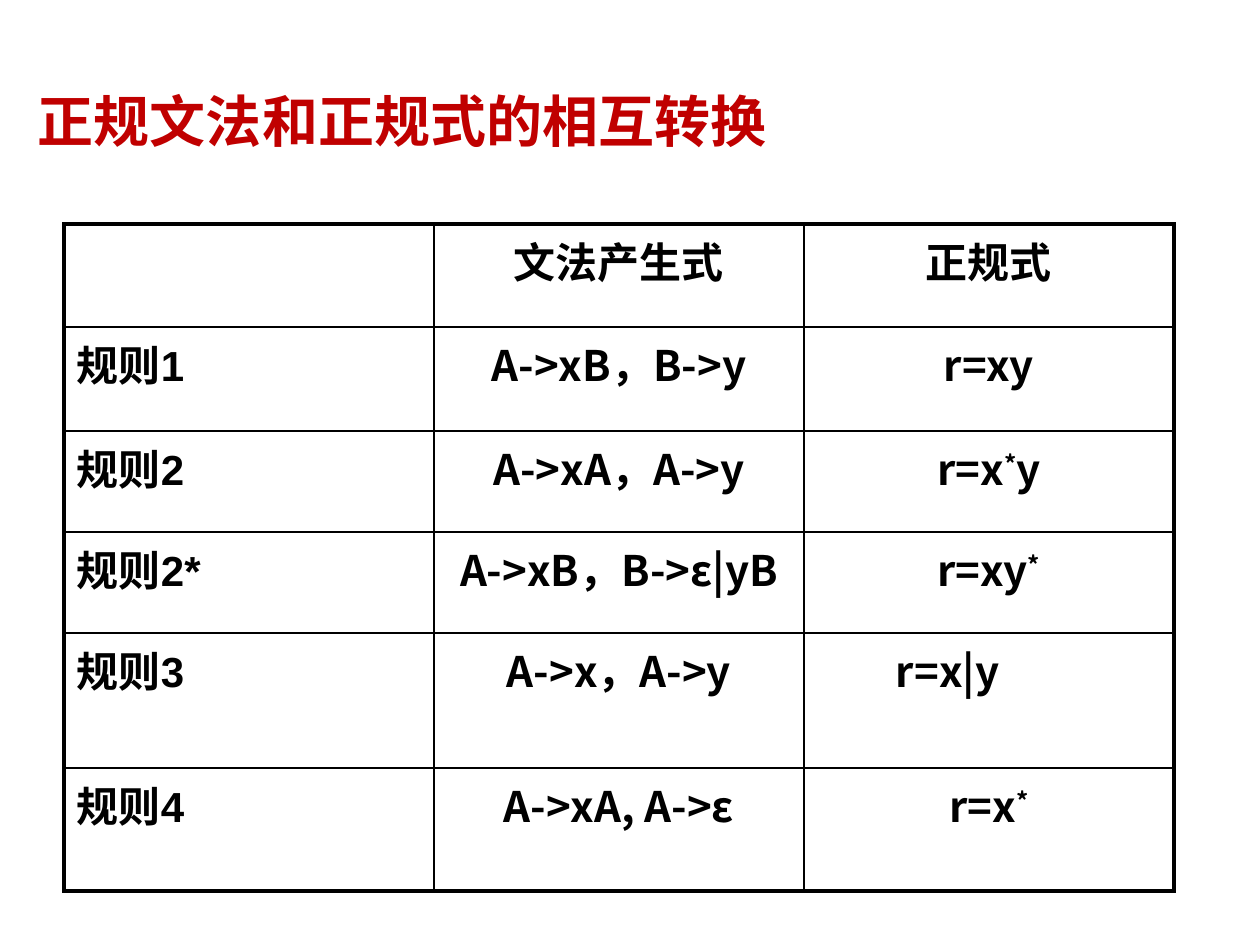
from typing import NamedTuple

import pptx
import pptx.dml.color
import pptx.enum.text
import pptx.oxml.ns
import pptx.util
from lxml import etree

EMU_PER_PIXEL = 914400 / 126
BLACK, RED = "000000", "C00000"
CJK_FONT = "Noto Sans CJK SC"
LEFT = pptx.enum.text.PP_ALIGN.LEFT
CENTER = pptx.enum.text.PP_ALIGN.CENTER
qn = pptx.oxml.ns.qn


class Rule(NamedTuple):
    label: str
    productions: str
    expression: str  # "*" is raised
    height: int
    indent: int = 0
    inset: int = 13


RULES = [
    Rule("", "文法产生式", "正规式", 103),
    Rule("规则1", "A->xB，B->y", "r=xy", 104),
    Rule("规则2", "A->xA，A->y", "r=x*y", 101),
    Rule("规则2*", "A->xB，B->ε|yB", "r=xy*", 101),
    Rule("规则3", "A->x，A->y", "r=x|y", 135, indent=92, inset=0),
    Rule("规则4", "A->xA, A->ε", "r=x*", 123, inset=0),
]
COLUMN_WIDTH = 370


def px(pixels: float) -> pptx.util.Emu:
    return pptx.util.Emu(round(pixels * EMU_PER_PIXEL))


def color(value: str) -> pptx.dml.color.RGBColor:
    return pptx.dml.color.RGBColor.from_string(value)


def format_run(run, size: int, font: str, hue: str) -> None:
    run.font.size = pptx.util.Pt(size)
    run.font.bold = True
    run.font.name = font
    run.font.color.rgb = color(hue)
    east_asian = etree.SubElement(run.font._element, qn("a:ea"))
    east_asian.set("typeface", CJK_FONT)


def add_borders(cell, widths: dict[str, float]) -> None:
    properties = cell._tc.get_or_add_tcPr()
    for side, width in widths.items():
        line = etree.SubElement(properties, qn(f"a:ln{side}"), w=str(pptx.util.Pt(width)))
        fill = etree.SubElement(line, qn("a:solidFill"))
        etree.SubElement(fill, qn("a:srgbClr"), val=BLACK)
    cell.fill.background()


def fill_cell(cell, text: str, font: str, align, inset: int = 13, indent: int = 0) -> None:
    cell.margin_left = cell.margin_right = px(inset)
    cell.margin_top = cell.margin_bottom = px(6)
    paragraph = cell.text_frame.paragraphs[0]
    paragraph.alignment = align
    properties = paragraph._p.get_or_add_pPr()
    spacing = etree.SubElement(properties, qn("a:spcBef"))
    etree.SubElement(spacing, qn("a:spcPct"), val="20000")
    if indent:
        properties.set("marL", str(px(indent)))
        properties.set("indent", "0")
    # Only formulas have raised stars
    base, star, rest = text.partition("*") if align == CENTER else (text, "", "")
    for part in filter(None, (base, star, rest)):
        run = paragraph.add_run()
        run.text = part
        format_run(run, 24, font, BLACK)
        if part == "*":
            run.font._element.set("baseline", "30000")


presentation = pptx.Presentation()
presentation.slide_width, presentation.slide_height = px(1260), px(945)
slide = presentation.slides.add_slide(presentation.slide_layouts[6])

# Heading
heading = slide.shapes.add_textbox(px(25), px(55), px(1071), px(131)).text_frame
heading.word_wrap = True
heading.vertical_anchor = pptx.enum.text.MSO_ANCHOR.MIDDLE
heading.margin_left = px(13)
heading.margin_right = px(6)
heading.text = "正规文法和正规式的相互转换"
format_run(heading.paragraphs[0].runs[0], 32, "Calibri", RED)

# Conversion rules
table = slide.shapes.add_table(
    len(RULES), 3, px(64), px(224), px(3 * COLUMN_WIDTH), px(sum(r.height for r in RULES))
).table
table.first_row = table.horz_banding = False
for column in table.columns:
    column.width = px(COLUMN_WIDTH)

last = len(RULES) - 1
for index, rule in enumerate(RULES):
    table.rows[index].height = px(rule.height)
    label, productions, expression = table.rows[index].cells
    formula_font = CJK_FONT if index else "Arial"
    fill_cell(label, rule.label, "Arial", LEFT)
    fill_cell(productions, rule.productions, formula_font, CENTER)
    fill_cell(expression, rule.expression, formula_font,
              LEFT if rule.indent else CENTER, rule.inset, rule.indent)
    # Thick outer frame, thin inner grid
    for position, cell in enumerate((label, productions, expression)):
        outer = {"L": position == 0, "R": position == 2, "T": index == 0, "B": index == last}
        add_borders(cell, {side: 2.25 if edge else 1 for side, edge in outer.items()})

presentation.save("out.pptx")
